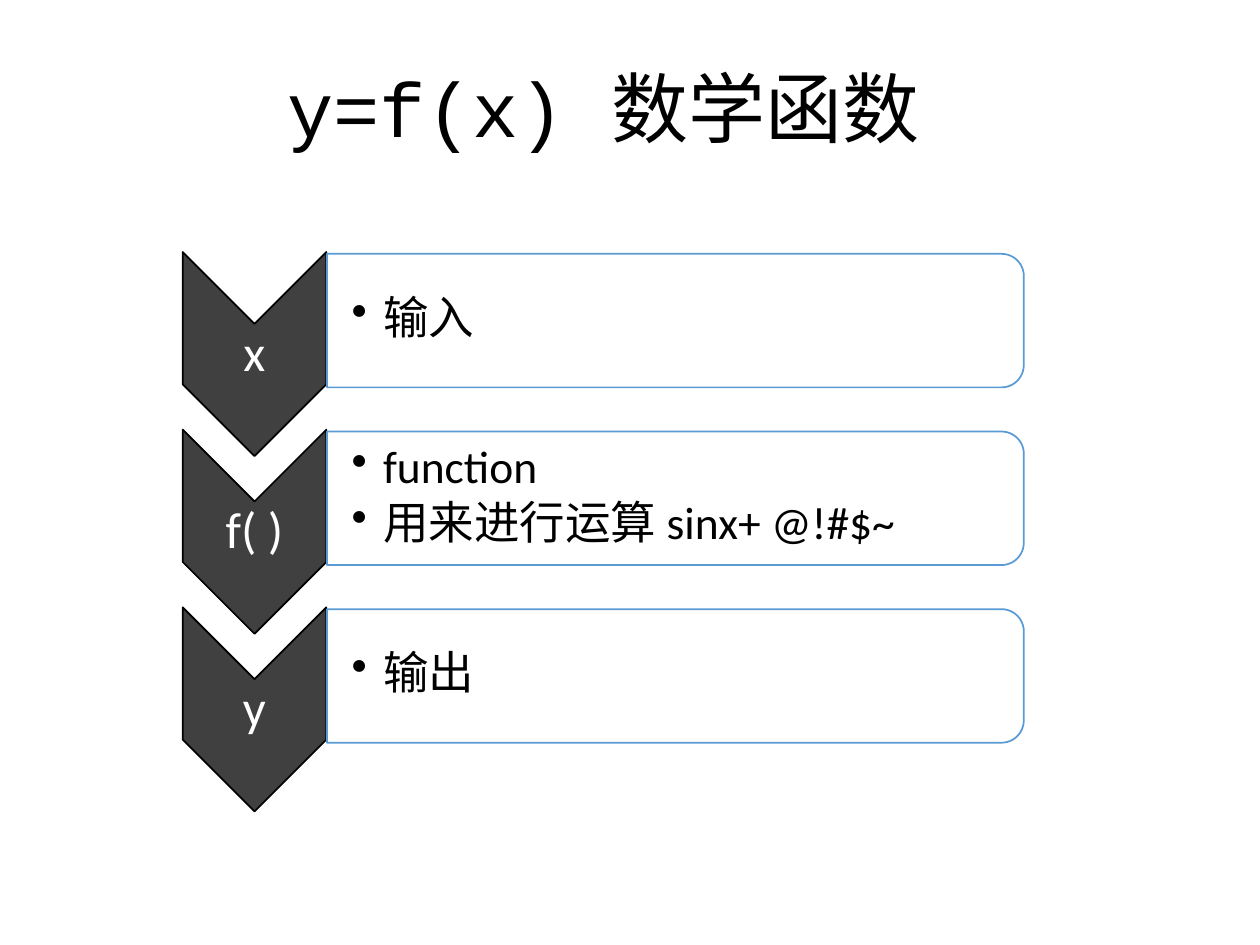
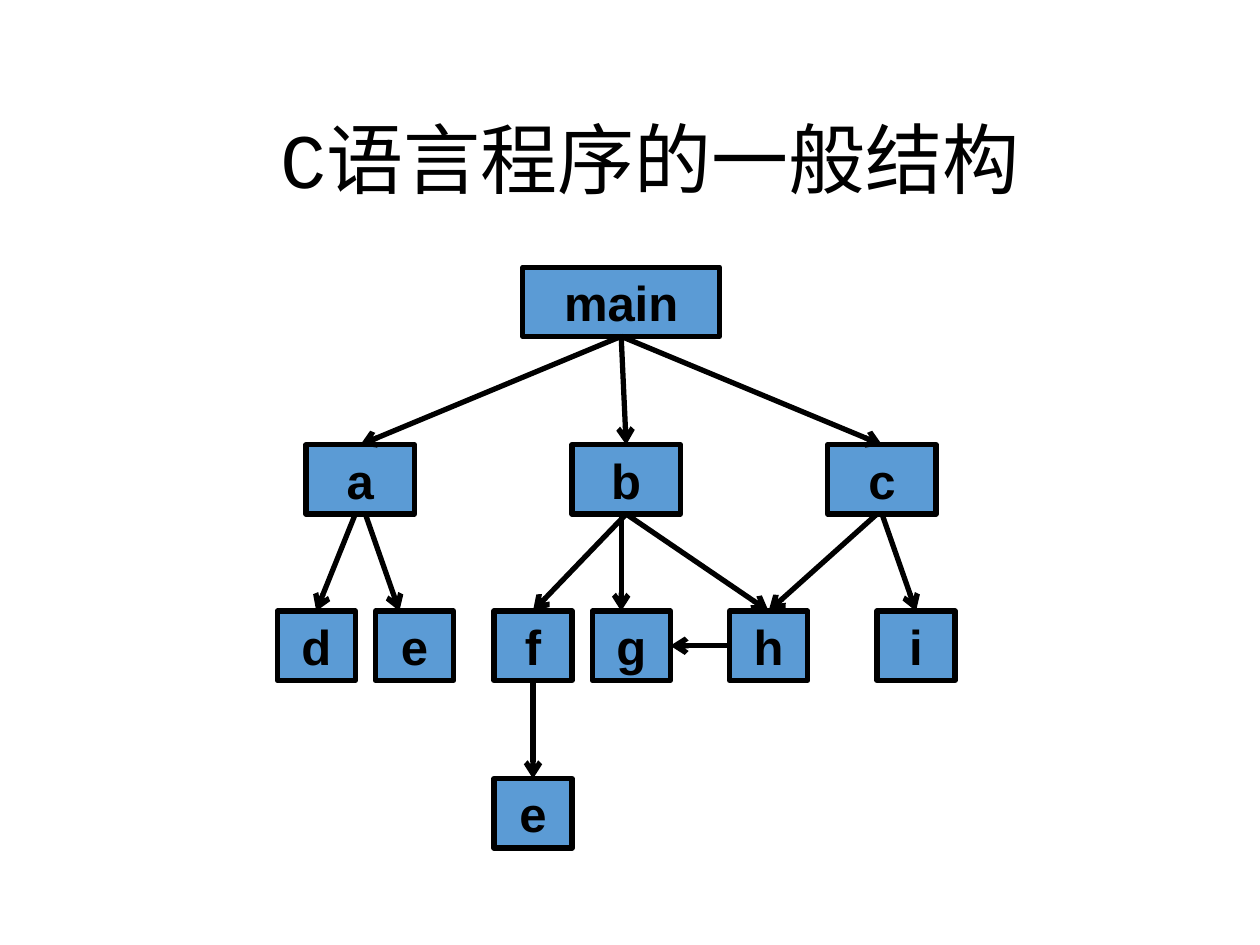
from lxml.etree import SubElement
from pptx import Presentation
from pptx.dml.color import RGBColor
from pptx.enum.shapes import MSO_CONNECTOR, MSO_SHAPE
from pptx.enum.text import MSO_ANCHOR, PP_ALIGN
from pptx.oxml.ns import qn
from pptx.util import Inches, Pt

COLORS = {"ink": "000000", "paper": "FFFFFF", "dark": "404040", "blue": "5B9BD5"}
CJK = "Noto Sans CJK SC"
TITLE = {"size": 44, "name": "Courier New"}
LABEL = {"size": 29, "name": "Calibri", "color": "paper"}
BULLET = {"size": 26, "name": "Calibri"}
NODE = {"size": 28, "name": "Arial", "bold": True}
TOP, LEFT, BOTTOM, RIGHT = range(4)


class Deck:
    def __init__(self):
        self.prs = Presentation()
        self.prs.slide_width, self.prs.slide_height = Inches(10), Inches(7.5)
        self.s = None

    def new_slide(self):
        self.s = self.prs.slides.add_slide(self.prs.slide_layouts[6])

    def rgb(self, color):
        return RGBColor.from_string(COLORS[color])

    def fill_text(self, sp, lines, style, margins=(0, 0, 0, 0), wrap=True,
                  spacing=0.9, bullets=False):
        tf = sp.text_frame
        sides = ("left", "top", "right", "bottom")
        frame = {f"margin_{side}": Inches(m) for side, m in zip(sides, margins)}
        frame |= {"word_wrap": wrap, "vertical_anchor": MSO_ANCHOR.MIDDLE}
        for key, value in frame.items():
            setattr(tf, key, value)
        for i, line in enumerate(lines):
            p = tf.paragraphs[0] if i == 0 else tf.add_paragraph()
            p.line_spacing = spacing
            p.alignment = PP_ALIGN.LEFT if bullets else PP_ALIGN.CENTER
            if bullets:
                p.space_after = Pt(4)
                pPr = p._p.get_or_add_pPr()
                pPr.set("marL", str(Inches(0.25)))
                pPr.set("indent", str(Inches(-0.25)))
                SubElement(pPr, qn("a:buChar"), char="•")
            r = p.add_run()
            r.text = line
            font = {"size": Pt(style["size"]), "name": style["name"],
                    "bold": style.get("bold", False)}
            for key, value in font.items():
                setattr(r.font, key, value)
            r.font.color.rgb = self.rgb(style.get("color", "ink"))
            SubElement(r._r.get_or_add_rPr(), qn("a:ea"), typeface=CJK)

    def text(self, x, y, w, h, lines, style, **options):
        sp = self.s.shapes.add_textbox(Inches(x), Inches(y), Inches(w), Inches(h))
        self.fill_text(sp, lines, style, **options)

    def title(self, x, y, text, margin_top=0.05):
        self.text(x, y, 8.62, 1.45, [text], TITLE,
                  margins=(0.1, margin_top, 0.1, 0.05))

    def shape(self, kind, x, y, w, h, fill, line="ink", weight=1, rotation=0, alpha=None):
        sp = self.s.shapes.add_shape(kind, Inches(x), Inches(y), Inches(w), Inches(h))
        sp.shadow.inherit = False
        sp.rotation = rotation
        sp.fill.solid()
        sp.fill.fore_color.rgb = self.rgb(fill)
        if alpha:
            color = sp._element.spPr.find(qn("a:solidFill"))[0]
            SubElement(color, qn("a:alpha"), val=str(alpha * 1000))
        sp.line.color.rgb = self.rgb(line)
        sp.line.width = Pt(weight)
        return sp

    def node(self, name, center, y, w):
        sp = self.shape(MSO_SHAPE.FLOWCHART_PROCESS, center - w / 2, y, w, 0.55,
                        "blue", weight=3)
        self.fill_text(sp, [name], NODE, wrap=False, spacing=1.0)
        return sp

    def arrow(self, start, end, start_side=BOTTOM, end_side=TOP, start_dx=0, end_dx=0):
        """Join two side middles; a shifted end stays free."""
        def point(sp, side, dx):
            x = sp.left + sp.width * {LEFT: 0, RIGHT: 1}.get(side, 0.5)
            y = sp.top + sp.height * {TOP: 0, BOTTOM: 1}.get(side, 0.5)
            return int(x + Inches(dx)), int(y)

        line = self.s.shapes.add_connector(
            MSO_CONNECTOR.STRAIGHT, *point(start, start_side, start_dx),
            *point(end, end_side, end_dx))
        if not start_dx:
            line.begin_connect(start, start_side)
        if not end_dx:
            line.end_connect(end, end_side)
        line.line.color.rgb = self.rgb("ink")
        line.line.width = Pt(3)
        spPr = line._element.spPr
        SubElement(spPr.find(qn("a:ln")), qn("a:tailEnd"), type="arrow")
        SubElement(spPr, qn("a:effectLst"))


def function_slide(deck):
    deck.new_slide()
    deck.title(0.48, -0.16, "y=f(x) 数学函数", margin_top=0.7)

    # Input, function, output: one chevron and one panel per row
    rows = [("x", ["输入"]),
            ("f( )", ["function", "用来进行运算 sinx+ @!#$~"]),
            ("y", ["输出"])]
    for i, (label, bullets) in enumerate(rows):
        y = 2.24 + 1.41 * i
        deck.shape(MSO_SHAPE.CHEVRON, 1.21, y, 1.62, 1.14, "dark", rotation=90)
        deck.text(1.45, y + 0.33, 1.14, 0.49, [label], LABEL, margins=(0.02,) * 4)
        deck.shape(MSO_SHAPE.ROUND_2_SAME_RECTANGLE, 4.83, y - 2.46, 1.06, 5.53,
                   "paper", "blue", rotation=90, alpha=90)
        deck.text(2.59, y - 0.18, 5.48, 0.95, bullets, BULLET,
                  margins=(0.2, 0.02, 0.02, 0.02), bullets=True)


def structure_slide(deck):
    deck.new_slide()

    # Call tree: top and box width of each level, then box centres
    levels = [
        (2.12, 1.56, {"main": 4.93}),
        (3.53, 0.86, {"a": 2.86, "b": 4.97, "c": 7}),
        (4.85, 0.62, {"f": 4.23, "g": 5.01, "h": 6.1, "d": 2.51, "e": 3.29, "i": 7.27}),
    ]
    nodes = {name: deck.node(name, center, y, w)
             for y, w, centers in levels for name, center in centers.items()}
    last_e = deck.node("e", 4.23, 6.18, 0.62)

    # Calls: caller, callee, shift of each end from the side's middle
    calls = [("b", "g", -0.04, -0.08), ("main", "a", 0, 0), ("main", "c", 0, 0),
             ("b", "f", 0, 0), ("b", "h", 0, 0), ("c", "h", -0.04, 0),
             ("c", "i", 0, 0), ("a", "d", -0.04, 0), ("a", "e", 0.04, -0.12),
             ("main", "b", 0, 0)]
    for caller, callee, start_dx, end_dx in calls:
        deck.arrow(nodes[caller], nodes[callee], start_dx=start_dx, end_dx=end_dx)
    deck.arrow(nodes["f"], last_e)
    deck.arrow(nodes["h"], nodes["g"], LEFT, RIGHT)

    deck.title(0.85, 0.57, "C语言程序的一般结构")


def main():
    deck = Deck()
    function_slide(deck)
    structure_slide(deck)
    deck.prs.save("out.pptx")


if __name__ == "__main__":
    main()
